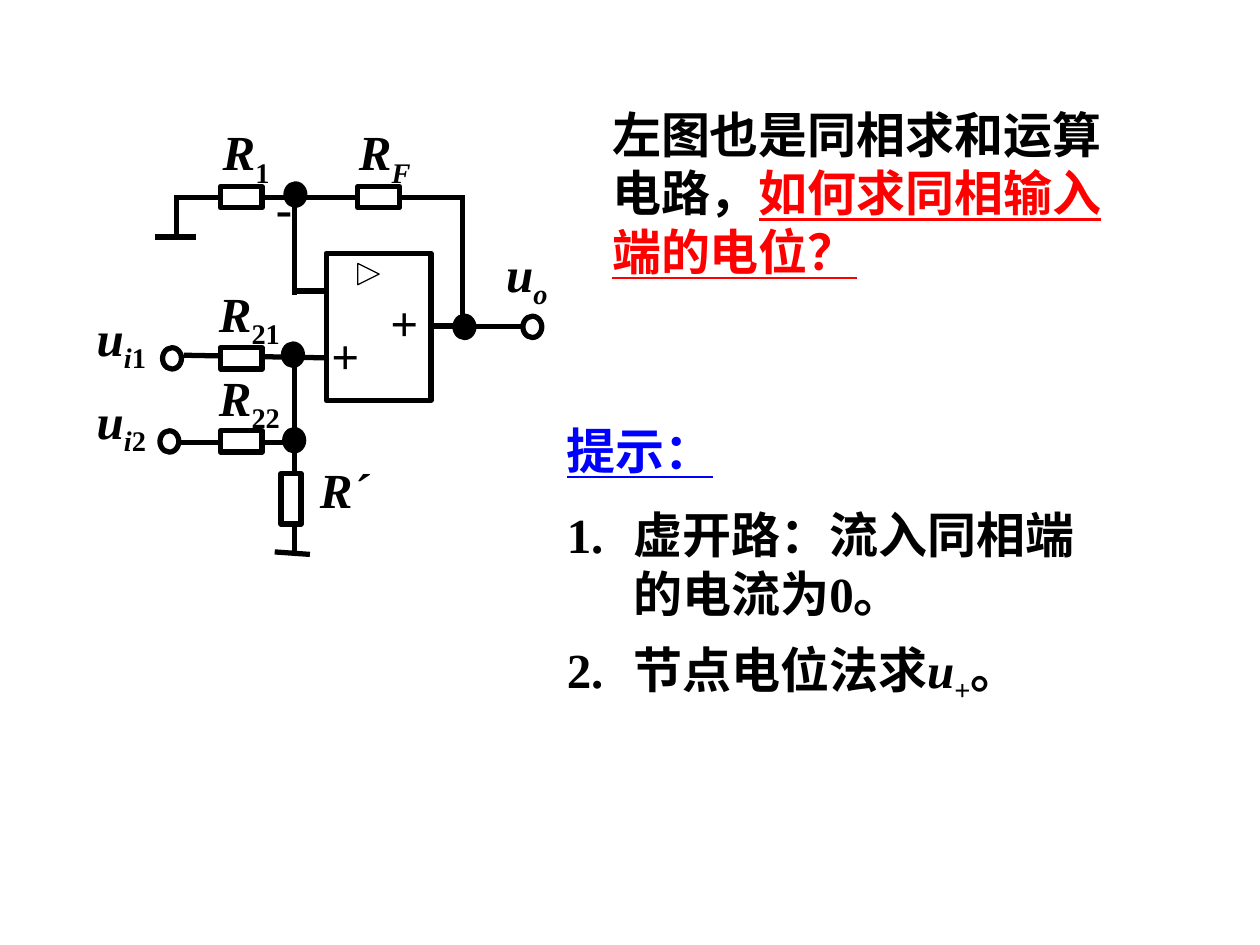
"""Build a slide on a summing amplifier circuit with a question and two hints."""
from lxml import etree
from pptx import Presentation
from pptx.dml.color import RGBColor
from pptx.enum import shapes, text
from pptx.oxml import ns
from pptx.util import Pt

BLACK = RGBColor(0, 0, 0)
WHITE = RGBColor(255, 255, 255)
RED = RGBColor(255, 0, 0)
BLUE = RGBColor(0, 0, 255)
FONT = "Times New Roman"
KIND = shapes.MSO_SHAPE


def write(para, words, color=BLACK, slant=False, under=False, sub=False):
    run = para.add_run()
    run.text = words
    font = run.font
    font.name, font.size, font.bold = FONT, Pt(28), True
    font.italic, font.underline = slant, under
    font.color.rgb = color
    if sub:
        font._element.set("baseline", "-25000")


def draw(kind, left, top, wide, high, fill=None, width=3):
    shape = part.add_shape(kind, Pt(left), Pt(top), Pt(wide), Pt(high))
    shape.shadow.inherit = False
    shape.line.color.rgb = BLACK
    shape.line.width = Pt(width)
    if fill is None:
        shape.fill.background()
    else:
        shape.fill.solid()
        shape.fill.fore_color.rgb = fill
    return shape


deck = Presentation()
deck.slide_width, deck.slide_height = Pt(720), Pt(540)
slide = deck.slides.add_slide(deck.slide_layouts[6])
part = slide.shapes.add_group_shape().shapes

wires = [
    (105, 203, 186.5, 204.5), (101, 252.7, 170, 252.7),
    (101, 113, 265.7, 113), (168.5, 166.3, 186.5, 166.3),
    (246.2, 186.3, 270, 186.3), (168.5, 114.5, 168.5, 168.5),
    (258.5, 186.5, 300.2, 186.5), (264.2, 113, 264.2, 185),
    (101, 111.6, 101, 135.4), (88.6, 135.4, 112.3, 135.4),
    (168.5, 206, 168.5, 315.4), (157, 315.4, 177.1, 316.8),
]
for ends in wires:
    wire = part.add_connector(shapes.MSO_CONNECTOR.STRAIGHT, *map(Pt, ends))
    wire.line.color.rgb = BLACK
    wire.line.width = Pt(3)
    etree.SubElement(wire._element.spPr, ns.qn("a:effectLst"))

for left, top in [(126, 106.6), (204.5, 106.6), (126, 198.7), (126, 246.2)]:
    draw(KIND.RECTANGLE, left, top, 23.8, 12.2, WHITE)
draw(KIND.RECTANGLE, 160.6, 270.7, 11.5, 28.8, WHITE)
draw(KIND.RECTANGLE, 186.5, 144.7, 59.8, 84.2)
draw(KIND.FLOWCHART_MERGE, 204.5, 150.5, 12.2, 12.2, width=0.75).rotation = 270

nodes = [(162, 196.6), (260, 180.7), (163.4, 105.1), (162.7, 245.5)]
ports = [(92.9, 198.7), (91.4, 246.2), (298.8, 180.7)]
for spots, fill in [(nodes, BLACK), (ports, None)]:
    for left, top in spots:
        draw(KIND.OVAL, left, top, 10.8, 12.2, fill)

labels = [
    (150.5, 98, 34.6, "-", "", ""), (182.2, 182.2, 54, "+", "", ""),
    (216, 163.4, 48.2, "+", "", ""), (120.2, 66.2, 54, "R", "", "1"),
    (198, 66.2, 82.8, "R", "F", ""), (118, 158.4, 70.6, "R", "", "21"),
    (118, 206.6, 59.8, "R", "", "22"), (48.2, 172, 59.8, "u", "i", "1"),
    (48.2, 219.6, 48.2, "u", "i", "2"), (282.2, 135.4, 48.2, "u", "o", ""),
    (175.7, 259.2, 59.8, "R´", "", ""),
]
for left, top, wide, name, mark, digit in labels:
    frame = part.add_textbox(Pt(left), Pt(top), Pt(wide), Pt(41)).text_frame
    frame.word_wrap = True
    para = frame.paragraphs[0]
    write(para, name, slant=name[0].isalpha())
    if mark:
        write(para, mark, slant=True, sub=True)
    if digit:
        write(para, digit, sub=True)

ask = [("左图也是同相求和运算电路，", {}),
       ("如何求同相输入端的电位？", dict(color=RED, under=True))]
hints = [
    [("提示：", dict(color=BLUE, under=True))],
    [("1.\t虚开路：流入同相端的电流为0。", {})],
    [("2.\t节点电位法求", {}), ("u", dict(slant=True)),
     ("+", dict(sub=True)), ("。", {})],
]
blocks = [(342.7, 56.2, 318.2, 108, 0, [ask]),
          (316.8, 236.9, 331.2, 175.7, 38.2, hints)]
for left, top, wide, high, hang, lines in blocks:
    box = slide.shapes.add_textbox(Pt(left), Pt(top), Pt(wide), Pt(high))
    frame = box.text_frame
    frame.word_wrap = True
    frame.auto_size = text.MSO_AUTO_SIZE.NONE
    for rank, line in enumerate(lines):
        para = frame.add_paragraph() if rank else frame.paragraphs[0]
        para.line_spacing = Pt(33.5)
        if rank:
            para.space_before = Pt(14.5)
        if hang:
            props = para._p.get_or_add_pPr()
            props.set("marL", str(Pt(hang)))
            props.set("indent", str(-Pt(hang)))
        for words, style in line:
            write(para, words, **style)

deck.save("out.pptx")
